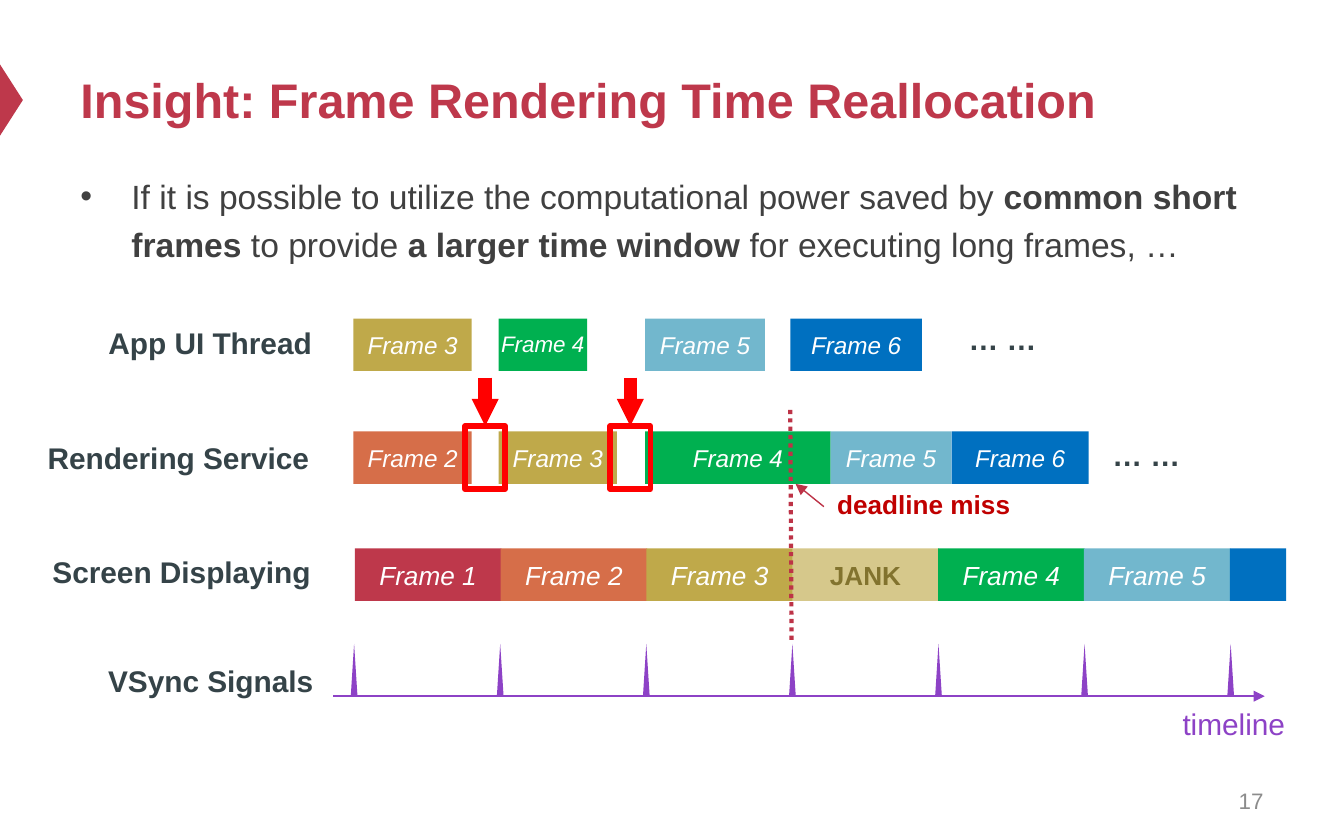
"""Build the slide on reallocating frame rendering time."""
from lxml import etree
from pptx import Presentation
from pptx.dml.color import RGBColor
from pptx.enum import dml, shapes, text
from pptx.oxml import ns
from pptx.util import Inches, Pt

COLORS = {
    "red": "BE384B", "orange": "D66E49", "gold": "BFA94A", "green": "00B050",
    "sky": "72B7CD", "blue": "0070C0", "sand": "D6C88B", "olive": "82732E",
    "purple": "8D42C6", "slate": "354348", "body": "404040", "gray": "8C8C8C",
    "white": "FFFFFF", "alert": "FF0000", "deadline": "BD3347", "miss": "C00000",
}
FRAME_COLORS = {
    "Frame 1": "red", "Frame 2": "orange", "Frame 3": "gold",
    "Frame 4": "green", "Frame 5": "sky", "Frame 6": "blue", "JANK": "sand",
}
RIGHT, CENTER = text.PP_ALIGN.RIGHT, text.PP_ALIGN.CENTER
MIDDLE = text.MSO_ANCHOR.MIDDLE
BAR_HEIGHT = 0.39

presentation = Presentation()
presentation.slide_width, presentation.slide_height = Inches(10), Inches(6.25)
slide = presentation.slides.add_slide(presentation.slide_layouts[6])


def add_label(words, box, size, color, bold=False, align=None, anchor=None):
    frame = slide.shapes.add_textbox(*map(Inches, box)).text_frame
    frame.word_wrap = True
    frame.vertical_anchor = anchor
    paragraph = frame.paragraphs[0]
    paragraph.text = words
    paragraph.alignment = align
    paragraph.font.name, paragraph.font.size = "Arial", Pt(size)
    paragraph.font.bold = bold
    paragraph.font.color.rgb = RGBColor.from_string(COLORS[color])
    return paragraph


def add_line(start, end, color, width, head=None):
    line = slide.shapes.add_connector(
        shapes.MSO_CONNECTOR.STRAIGHT, *map(Inches, start + end))
    line.line.color.rgb = RGBColor.from_string(COLORS[color])
    line.line.width = Pt(width)
    if head:
        etree.SubElement(line.line._get_or_add_ln(), ns.qn("a:tailEnd"),
                         type="triangle", w=head, len=head)
    etree.SubElement(line._element.spPr, ns.qn("a:effectLst"))
    return line


marker = slide.shapes.add_shape(
    shapes.MSO_SHAPE.ISOSCELES_TRIANGLE,
    Inches(-0.18), Inches(0.66), Inches(0.53), Inches(0.17))
marker.rotation = 90
marker.shadow.inherit = False
marker.fill.solid()
marker.fill.fore_color.rgb = RGBColor.from_string(COLORS["red"])
marker.line.fill.background()

add_label("Insight: Frame Rendering Time Reallocation", (0.5, 0.25, 9.38, 0.98),
          26, "red", bold=True, anchor=MIDDLE)
add_label("17", (7.17, 5.79, 2.33, 0.33), 12, "gray", align=RIGHT, anchor=MIDDLE)

body = slide.shapes.add_textbox(Inches(0.5), Inches(1.2), Inches(9.07), Inches(1))
body.text_frame.word_wrap = True
paragraph = body.text_frame.paragraphs[0]
paragraph.line_spacing = 1.2
properties = paragraph._p.get_or_add_pPr()
properties.set("marL", str(Inches(0.38)))
properties.set("indent", str(Inches(-0.38)))
etree.SubElement(properties, ns.qn("a:buFont"), typeface="Arial")
etree.SubElement(properties, ns.qn("a:buChar"), char="•")
paragraph.font.name, paragraph.font.size = "Arial", Pt(18)
paragraph.font.color.rgb = RGBColor.from_string(COLORS["body"])
for words, bold in [
    ("If it is possible to utilize the computational power saved by ", False),
    ("common short frames", True),
    (" to provide ", False),
    ("a larger time window", True),
    (" for executing long frames, …", False),
]:
    run = paragraph.add_run()
    run.text = words
    run.font.bold = bold

for words, left, top, width in [
    ("App UI Thread", 0.28, 2.37, 2.14),
    ("Rendering Service", 0.16, 3.22, 2.24),
    ("Screen Displaying", 0.27, 4.07, 2.14),
    ("VSync Signals", 0.29, 4.88, 2.14),
    ("… …", 7.05, 2.34, 0.76),
    ("… …", 8.12, 3.2, 0.76),
]:
    add_label(words, (left, top, width, 0.37), 16, "slate", bold=True, align=RIGHT)

add_line((2.48, 5.18), (9.41, 5.18), "purple", 1.25, "med")
for index in range(7):
    signal = slide.shapes.add_shape(
        shapes.MSO_SHAPE.ISOSCELES_TRIANGLE, Inches(2.61 + 1.087 * index),
        Inches(4.79), Inches(0.05), Inches(BAR_HEIGHT))
    signal.shadow.inherit = False
    signal.fill.solid()
    signal.fill.fore_color.rgb = RGBColor.from_string(COLORS["purple"])
    signal.line.fill.background()
add_label("timeline", (8.7, 5.2, 1.02, 0.37), 16, "purple")

ui_bars = [("Frame 3", 2.63, 0.88), ("Frame 4", 3.71, 0.66),
           ("Frame 5", 4.8, 0.89), ("Frame 6", 5.88, 0.98)]
service_bars = [("Frame 2", 2.63, 0.88), ("Frame 3", 3.71, 0.88),
                ("Frame 4", 4.8, 1.38), ("Frame 5", 6.18, 0.9),
                ("Frame 6", 7.08, 1.02)]
screen_names = ["Frame 1", "Frame 2", "Frame 3", "JANK", "Frame 4", "Frame 5"]
screen_bars = [(name, 2.64 + 1.085 * index, 1.09)
               for index, name in enumerate(screen_names)]
screen_bars.append(("Frame 6", 9.15, 0.42))

for top, size, bars in [(2.37, 13, ui_bars), (3.21, 13, service_bars),
                        (4.08, 14, screen_bars)]:
    for name, left, width in bars:
        bar = slide.shapes.add_shape(
            shapes.MSO_SHAPE.ROUNDED_RECTANGLE, Inches(left), Inches(top),
            Inches(width), Inches(BAR_HEIGHT))
        bar.adjustments[0] = 0
        bar.shadow.inherit = False
        bar.fill.solid()
        bar.fill.fore_color.rgb = RGBColor.from_string(COLORS[FRAME_COLORS[name]])
        bar.line.fill.background()
        if width < 0.8:
            continue
        is_jank = name == "JANK"
        bar.text_frame.word_wrap = False
        bar.text_frame.vertical_anchor = MIDDLE
        paragraph = bar.text_frame.paragraphs[0]
        paragraph.text = name
        paragraph.alignment = CENTER
        paragraph.font.name, paragraph.font.size = "Arial", Pt(size)
        paragraph.font.bold, paragraph.font.italic = is_jank, not is_jank
        paragraph.font.color.rgb = RGBColor.from_string(
            COLORS["olive" if is_jank else "white"])
add_label("Frame 4", (3.63, 2.41, 1.15, 0.3), 12, "white").font.italic = True

deadline = add_line((5.88, 3.05), (5.89, 4.79), "deadline", 2.25)
deadline.line.dash_style = dml.MSO_LINE.ROUND_DOT

for left in (3.46, 4.54):
    gap = slide.shapes.add_shape(
        shapes.MSO_SHAPE.RECTANGLE, Inches(left), Inches(3.17),
        Inches(0.3), Inches(0.47))
    gap.shadow.inherit = False
    gap.fill.background()
    gap.line.color.rgb = RGBColor.from_string(COLORS["alert"])
    gap.line.width = Pt(3)
    center = left + 0.15
    add_line((center, 2.81), (center, 3.17), "alert", 7.25, "sm")

add_line((6.13, 3.77), (5.92, 3.6), "deadline", 0.75, "med")
miss = add_label("deadline miss", (6.13, 3.61, 2.25, 0.31), 14, "miss", bold=True)
miss.line_spacing = 0.9

presentation.save("out.pptx")
